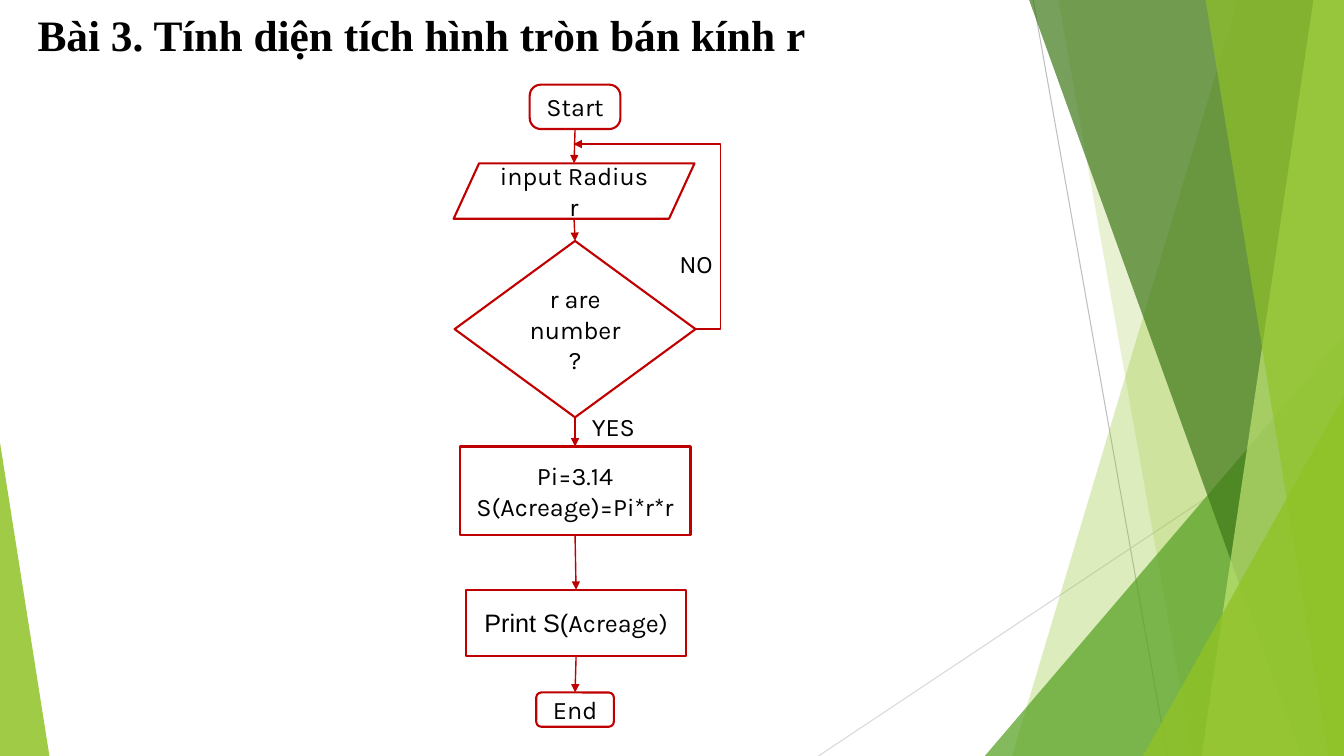
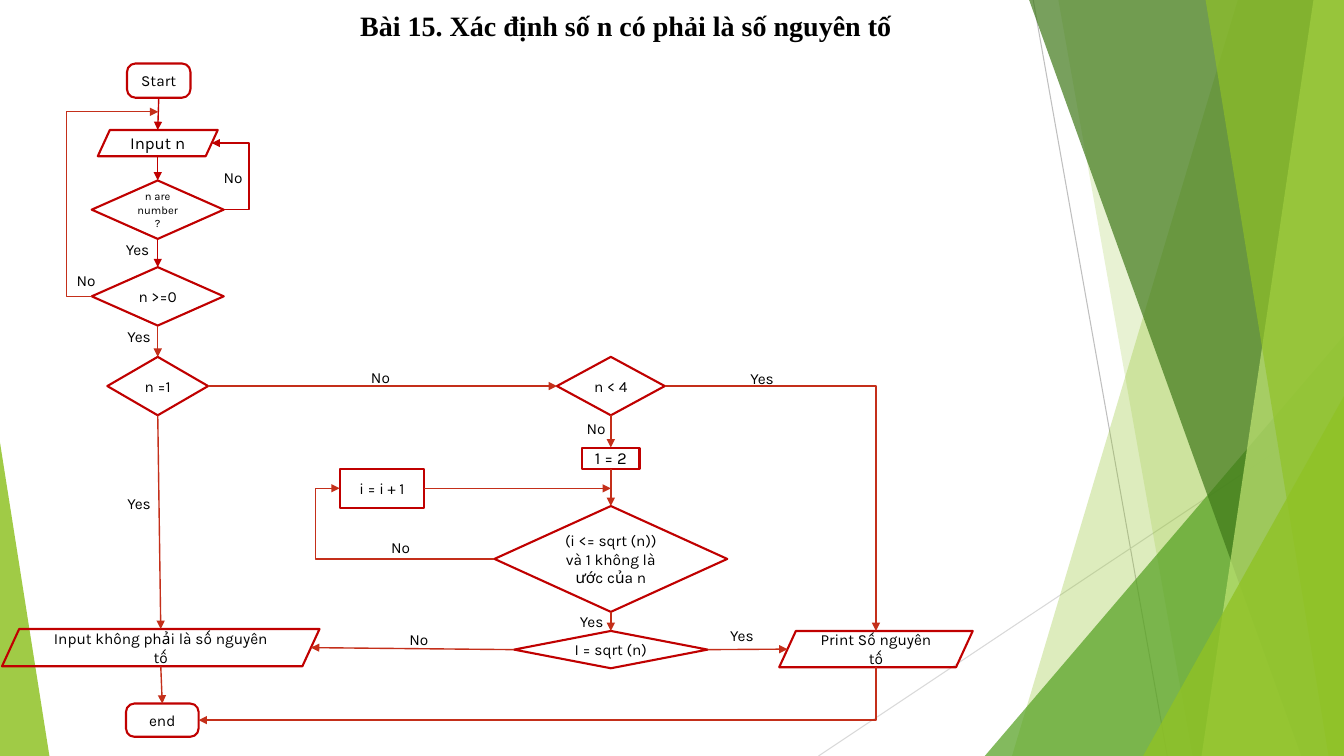
from dataclasses import dataclass
from typing import Optional

from lxml import etree
from pptx import Presentation
from pptx.dml.color import RGBColor
from pptx.enum.shapes import MSO_CONNECTOR, MSO_SHAPE
from pptx.enum.text import MSO_ANCHOR, MSO_AUTO_SIZE, PP_ALIGN
from pptx.oxml.ns import qn
from pptx.util import Emu, Inches, Pt

RECT, DIAMOND = MSO_SHAPE.RECTANGLE, MSO_SHAPE.DIAMOND
ROUND, SLANT = MSO_SHAPE.ROUNDED_RECTANGLE, MSO_SHAPE.PARALLELOGRAM
TRIANGLE = MSO_SHAPE.ISOSCELES_TRIANGLE
STRAIGHT, ELBOW = MSO_CONNECTOR.STRAIGHT, MSO_CONNECTOR.ELBOW
CENTER, LEFT_ALIGN = PP_ALIGN.CENTER, PP_ALIGN.LEFT
MIDDLE, NO_FIT = MSO_ANCHOR.MIDDLE, MSO_AUTO_SIZE.NONE
TOP, LEFT, BOTTOM, RIGHT = range(4)
SLANT_SITES = {TOP: 0, LEFT: 2, BOTTOM: 4, RIGHT: 5}
COLS, ROWS = 133.33, 75


@dataclass(frozen=True)
class Theme:
    """Colours, fonts and type sizes of the deck."""
    outline: str = "C00000"
    flow: str = "C42F1A"
    ink: str = "000000"
    lime: str = "90C226"
    pale: str = "C0E474"
    green: str = "54A021"
    forest: str = "3F7819"
    body_font: str = "Karla"
    lead_font: str = "Arial"
    title_font: str = "Times New Roman"
    large: float = 18
    medium: float = 12
    small: float = 11
    tiny: float = 8
    box_line: float = 1.5
    arrow_line: float = 1
    hair_line: float = 0.75


THEME = Theme()


@dataclass(frozen=True)
class Band:
    """A full-height strip reaching the right edge."""
    top_col: float
    bottom_col: float
    color: str
    alpha: int


@dataclass(frozen=True)
class Wedge:
    """A right triangle standing on the bottom edge."""
    col: float
    row: float
    cols: float
    apex: float
    color: str
    alpha: int


@dataclass(frozen=True)
class Node:
    """A flowchart box centred on a column."""
    key: str
    kind: MSO_SHAPE
    center: float
    row: float
    cols: float
    rows: float
    text: str
    size: float = THEME.small
    adj: Optional[float] = None
    lead: str = ""


@dataclass(frozen=True)
class Label:
    """A branch caption centred on a column."""
    text: str
    center: float
    row: float
    cols: float
    rows: float
    size: float = THEME.small
    align: PP_ALIGN = CENTER


@dataclass(frozen=True)
class Link:
    """An arrow from a box side to another side or to a free point."""
    begin: str
    side: int
    end: Optional[str] = None
    end_side: int = TOP
    point: tuple[float, float] = (0, 0)
    via: Optional[float] = None
    corner: bool = False
    backward: bool = False
    color: str = THEME.flow


@dataclass(frozen=True)
class Chart:
    """A titled flowchart slide."""
    title: str
    title_box: tuple[float, float, float, float]
    title_size: float
    nodes: list[Node]
    links: list[Link]
    labels: list[Label]


HAIRLINES = [((102.5, 0), (115.8, ROWS), "BFBFBF"), ((COLS, 40.3), (81.2, ROWS), "D9D9D9")]
BACKDROP = [
    Band(122.8, 100.4, THEME.lime, 30),
    Band(105, 118.3, THEME.lime, 20),
    Wedge(97.7, 33.3, 35.63, 1, THEME.green, 72),
    Band(102.1, 129.1, THEME.forest, 70),
    Band(130.3, 119.2, THEME.pale, 70),
    Band(119.6, 131.8, THEME.lime, 65),
    Wedge(113.4, 39.3, 19.93, 1, THEME.lime, 80),
    Wedge(0, 43.9, 4.9, 0, THEME.lime, 85),
]

AXIS = 57.05
BIG = THEME.large
CIRCLE = Chart(
    "Bài 3. Tính diện tích hình tròn bán kính r", (1.1, -0.1, 81.4, 7.7), 31,
    [
        Node("start", ROUND, AXIS, 8.4, 9, 4.4, "Start", BIG, 0.25),
        Node("input", SLANT, AXIS - 0.1, 16.2, 23.9, 5.5, "input Radius r", BIG, 0.46),
        Node("check", DIAMOND, AXIS, 23.9, 23.9, 17.5, "r are number?", BIG),
        Node("area", RECT, AXIS, 44.3, 22.9, 8.8, "Pi=3.14\nS(Acreage)=Pi*r*r", BIG),
        Node("print", RECT, AXIS + 0.1, 58.5, 21.9, 6.6, "Acreage)", BIG, lead="Print S("),
        Node("end", ROUND, AXIS, 68.7, 7.7, 3.4, "End", BIG, 0.15),
    ],
    [Link(a, BOTTOM, b, TOP, color=THEME.outline) for a, b in (
        ("start", "input"), ("input", "check"), ("check", "area"),
        ("area", "print"), ("print", "end"))]
    + [Link("check", RIGHT, point=(56.9, 14.3), via=71.5, color=THEME.outline)],
    [Label("NO", 69.05, 24.4, 7.7, 3.4, BIG), Label("YES", 60.85, 40.6, 7.7, 3.4, BIG)],
)

MAIN, LOOP, PRIME = 15.65, 60.6, 86.9
PRIMES = Chart(
    "Bài 15. Xác định số n có phải là số nguyên tố", (33.4, -0.4, 57.4, 6.2), 20,
    [
        Node("start", ROUND, MAIN + 0.1, 6.3, 6.3, 3.4, "Start", adj=0.25),
        Node("input", SLANT, MAIN, 12.9, 11.9, 2.6, "Input n", THEME.medium, 0.46),
        Node("number", DIAMOND, MAIN, 17.9, 13.1, 5.8, "n are number?", THEME.tiny),
        Node("positive", DIAMOND, MAIN, 26.5, 13.1, 5.8, "n >=0"),
        Node("one", DIAMOND, MAIN, 35.4, 10, 5.8, "n =1"),
        Node("four", DIAMOND, LOOP, 35.4, 10.7, 5.8, "n < 4"),
        Node("init", RECT, LOOP, 44.4, 5.7, 2.1, "1 = 2", THEME.medium),
        Node("next", RECT, 37.9, 46.5, 8.4, 3.9, "i = i + 1"),
        Node("divides", DIAMOND, LOOP, 50.2, 23.1, 10.5,
             "(i <= sqrt (n)) và 1 không là ước của n"),
        Node("root", DIAMOND, LOOP, 62.6, 19.2, 3.7, "I = sqrt (n)"),
        Node("composite", SLANT, 15.95, 62.4, 31.5, 3.7,
             "Input không phải là số nguyên tố", adj=0.46),
        Node("prime", SLANT, PRIME, 62.6, 19.2, 3.6, "Print Số nguyên tố", adj=0.46),
        Node("end", ROUND, 16.1, 69.8, 7.2, 3.3, "end", adj=0.25),
    ],
    [Link(a, BOTTOM, b, TOP, color=THEME.outline) for a, b in (
        ("start", "input"), ("input", "number"), ("number", "positive"))]
    + [Link(a, BOTTOM, b, TOP) for a, b in (
        ("positive", "one"), ("one", "composite"), ("composite", "end"),
        ("four", "init"), ("init", "divides"), ("divides", "root"))]
    + [
        Link("number", RIGHT, "input", RIGHT, via=24.7, color=THEME.outline),
        Link("positive", LEFT, point=(15.7, 11.1), via=6.6),
        Link("one", RIGHT, "four", LEFT),
        Link("divides", LEFT, "next", LEFT, via=31.3),
        Link("next", RIGHT, point=(LOOP, 48.45)),
        Link("root", RIGHT, "prime", LEFT),
        Link("root", LEFT, "composite", RIGHT),
        Link("four", RIGHT, "prime", TOP, corner=True),
        Link("end", RIGHT, "prime", BOTTOM, corner=True, backward=True),
    ],
    [
        Label("No", 23.55, 16.7, 4.7, 1.8, align=LEFT_ALIGN),
        Label("Yes", 14.35, 23.6, 5.7, 2.2, align=LEFT_ALIGN),
    ]
    + [Label("Yes", x, y, 5.2, 3.2) for x, y in (
        (13.8, 31.8), (13.8, 48.3), (58.7, 60), (75.6, 35.9), (73.6, 61.4))]
    + [Label("No", x, y, 4.3, 2.5) for x, y in (
        (8.55, 26.6), (59.15, 41.2), (37.75, 36.2), (39.75, 53), (41.55, 62.2))],
)


def grid(cells: float) -> Emu:
    """Convert grid cells, ten to the inch, to a length."""
    return Inches(cells / 10)


def rgb(color: str) -> RGBColor:
    """Return a colour from its hex code."""
    return RGBColor.from_string(color)


def add_run(p, text: str, font: str, size: float, bold: bool = False) -> None:
    """Append one formatted run."""
    r = p.add_run()
    r.text = text
    r.font.name, r.font.size, r.font.bold = font, Pt(size), bold
    r.font.color.rgb = rgb(THEME.ink)


def write(sp, text: str, size: float, align: PP_ALIGN = CENTER, lead: str = "") -> None:
    """Fill a shape with wrapped, vertically centred text."""
    tf = sp.text_frame
    tf.word_wrap, tf.vertical_anchor = True, MIDDLE
    for i, line in enumerate(text.split("\n")):
        p = tf.add_paragraph() if i else tf.paragraphs[0]
        p.alignment = align
        if lead and not i:
            add_run(p, lead, THEME.lead_font, size)
        add_run(p, line, THEME.body_font, size)


def style_line(c, color: str, width: float) -> None:
    """Colour a connector and drop its shadow."""
    c.line.color.rgb, c.line.width = rgb(color), Pt(width)
    etree.SubElement(c.element.spPr, qn("a:effectLst"))


def add_facet(shapes, facet: Band | Wedge):
    """Draw one translucent facet of the backdrop."""
    if isinstance(facet, Band):
        builder = shapes.build_freeform(grid(facet.top_col), 0)
        corners = ((COLS, 0), (COLS, ROWS), (facet.bottom_col, ROWS))
        builder.add_line_segments([(grid(x), grid(y)) for x, y in corners], close=True)
        sp = builder.convert_to_shape()
    else:
        box = (facet.col, facet.row, facet.cols, ROWS - facet.row)
        sp = shapes.add_shape(TRIANGLE, *map(grid, box))
        sp.adjustments[0] = facet.apex
    sp.shadow.inherit = False
    sp.fill.solid()
    sp.fill.fore_color.rgb = rgb(facet.color)
    sp.line.fill.background()
    color = sp.element.spPr.find(qn("a:solidFill")).find(qn("a:srgbClr"))
    etree.SubElement(color, qn("a:alpha")).set("val", str(facet.alpha * 1000))
    return sp


def add_backdrop(s, layout) -> None:
    """Draw the backdrop once and move it into the layout."""
    drawn = []
    for begin, end, color in HAIRLINES:
        c = s.shapes.add_connector(STRAIGHT, *map(grid, begin + end))
        style_line(c, color, THEME.hair_line)
        drawn.append(c)
    drawn += [add_facet(s.shapes, facet) for facet in BACKDROP]
    for i, sp in enumerate(drawn):
        sp.element.find(".//" + qn("p:cNvPr")).set("id", str(100 + i))
        layout.shapes.element.insert(2 + i, sp.element)


def add_title(s, chart: Chart) -> None:
    """Place and format the title placeholder."""
    sp = s.shapes.title
    sp.left, sp.top, sp.width, sp.height = map(grid, chart.title_box)
    tf = sp.text_frame
    tf.word_wrap, tf.auto_size, tf.vertical_anchor = True, NO_FIT, MIDDLE
    p = tf.paragraphs[0]
    p.alignment, p.line_spacing = CENTER, 0.9
    add_run(p, chart.title, THEME.title_font, chart.title_size, True)


def add_node(s, node: Node):
    """Draw one outlined flowchart box."""
    box = (node.center - node.cols / 2, node.row, node.cols, node.rows)
    sp = s.shapes.add_shape(node.kind, *map(grid, box))
    if node.adj is not None:
        sp.adjustments[0] = node.adj
    sp.shadow.inherit = False
    sp.fill.background()
    sp.line.color.rgb, sp.line.width = rgb(THEME.outline), Pt(THEME.box_line)
    write(sp, node.text, node.size, lead=node.lead)
    return sp


def add_label(s, label: Label) -> None:
    """Write one branch caption."""
    box = (label.center - label.cols / 2, label.row, label.cols, label.rows)
    write(s.shapes.add_textbox(*map(grid, box)), label.text, label.size, label.align)


def port(node: Node, side: int) -> tuple[float, float]:
    """Return the joining point on a side of a box."""
    slant = node.adj * node.rows / 2 if node.kind == SLANT else 0
    reach = node.cols / 2 - slant
    x = node.center + {LEFT: -reach, RIGHT: reach}.get(side, 0)
    y = node.row + {TOP: 0, BOTTOM: node.rows}.get(side, node.rows / 2)
    return x, y


def fix_site(c, tag: str, node: Node, side: int) -> None:
    """Use the slanted box's own numbering of joining points."""
    if node.kind == SLANT:
        c.element.find(".//" + qn(tag)).set("idx", str(SLANT_SITES[side]))


def bend(c, link: Link, x0: float, x1: float) -> None:
    """Set the elbow's form and turning column."""
    geom = c.element.spPr.find(qn("a:prstGeom"))
    for child in list(geom):
        geom.remove(child)
    guides = etree.SubElement(geom, qn("a:avLst"))
    if link.corner:
        geom.set("prst", "bentConnector2")
        return
    turn = round((link.via - x0) / (x1 - x0) * 100000)
    values = {"adj1": turn} if link.end else {"adj1": turn, "adj2": 100000}
    geom.set("prst", "bentConnector3" if link.end else "bentConnector4")
    for name, value in values.items():
        gd = etree.SubElement(guides, qn("a:gd"))
        gd.set("name", name)
        gd.set("fmla", f"val {value}")


def add_link(s, link: Link, nodes: dict, boxes: dict) -> None:
    """Draw one arrow and join it to its boxes."""
    bent = link.corner or link.via is not None
    begin = port(nodes[link.begin], link.side)
    end = port(nodes[link.end], link.end_side) if link.end else link.point
    c = s.shapes.add_connector(ELBOW if bent else STRAIGHT, *map(grid, begin + end))
    c.begin_connect(boxes[link.begin], link.side)
    fix_site(c, "a:stCxn", nodes[link.begin], link.side)
    if link.end:
        c.end_connect(boxes[link.end], link.end_side)
        c.end_x = grid(end[0])
        fix_site(c, "a:endCxn", nodes[link.end], link.end_side)
    if bent:
        bend(c, link, begin[0], end[0])
    style_line(c, link.color, THEME.arrow_line)
    ln = c.element.spPr.find(qn("a:ln"))
    etree.SubElement(ln, qn("a:headEnd" if link.backward else "a:tailEnd")).set("type", "triangle")


def add_chart_slide(s, chart: Chart) -> None:
    """Draw a whole flowchart slide."""
    add_title(s, chart)
    nodes = {node.key: node for node in chart.nodes}
    boxes = {node.key: add_node(s, node) for node in chart.nodes}
    for link in chart.links:
        add_link(s, link, nodes, boxes)
    for label in chart.labels:
        add_label(s, label)


def main() -> None:
    """Build and save the deck."""
    prs = Presentation()
    prs.slide_width, prs.slide_height = grid(COLS), grid(ROWS)
    layout = prs.slide_layouts[5]
    for i, chart in enumerate((CIRCLE, PRIMES)):
        s = prs.slides.add_slide(layout)
        if not i:
            add_backdrop(s, layout)
        add_chart_slide(s, chart)
    prs.save("out.pptx")


if __name__ == "__main__":
    main()
